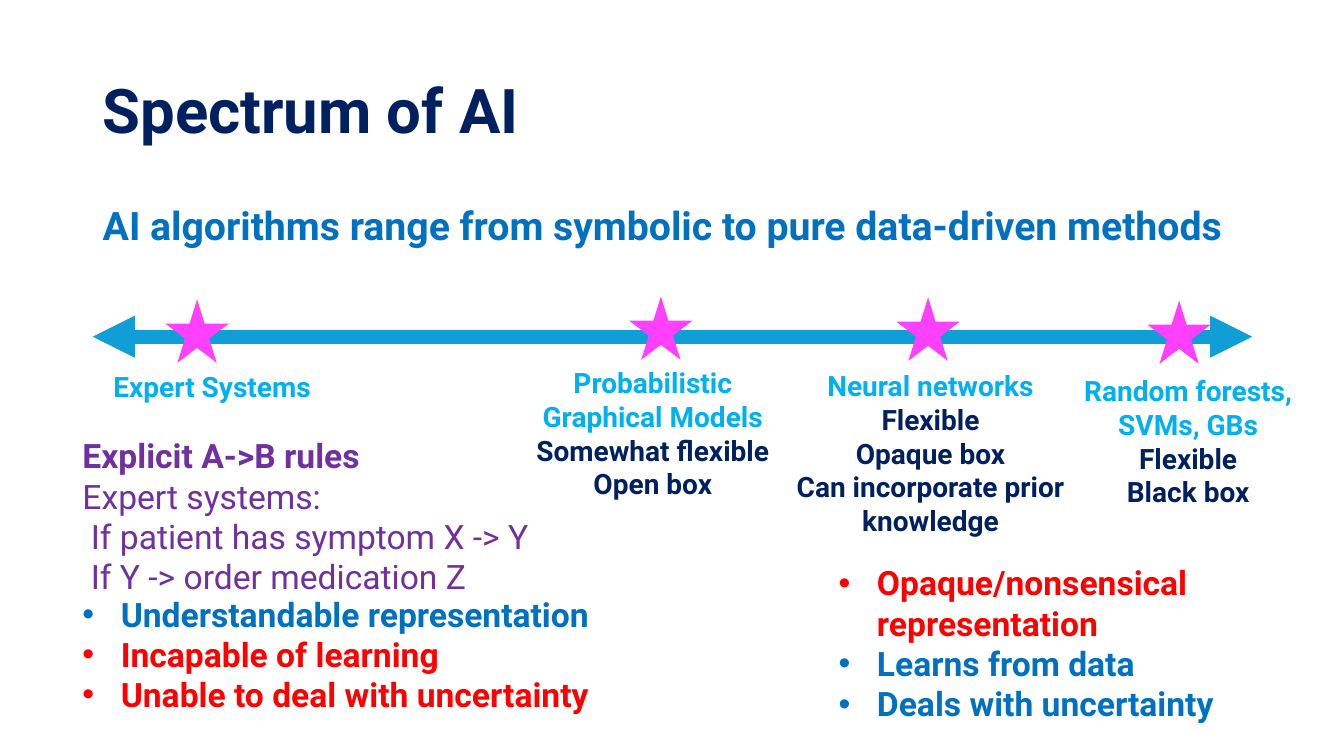
from dataclasses import dataclass

from lxml.etree import SubElement
from pptx import Presentation
from pptx.dml.color import RGBColor
from pptx.enum.shapes import MSO_CONNECTOR as Connector, MSO_SHAPE as Preset
from pptx.enum.text import MSO_ANCHOR as Anchor, PP_ALIGN as Align
from pptx.oxml.ns import qn
from pptx.slide import Slide
from pptx.util import Inches, Pt

FONT = "Roboto"
NAVY = RGBColor(0x00, 0x20, 0x60)
BLUE = RGBColor(0x00, 0x70, 0xC0)
SKY = RGBColor(0x00, 0xB0, 0xF0)
AXIS_BLUE = RGBColor(0x0F, 0x9E, 0xD5)
PURPLE = RGBColor(0x70, 0x30, 0xA0)
RED = RGBColor(0xFF, 0x00, 0x00)
PINK = RGBColor(0xFF, 0x40, 0xFF)

AXIS_LEFT, AXIS_RIGHT, AXIS_Y = 0.92, 12.42, 3.34
STAR_SIZE = 0.63
BULLET_INDENT = 0.38


@dataclass(frozen=True)
class Line:
    text: str
    color: RGBColor
    bold: bool = True
    bullet: bool = False


@dataclass(frozen=True)
class Block:
    left: float
    top: float
    width: float
    height: float
    size: int
    lines: tuple[Line, ...]
    align: Align = Align.LEFT
    anchor: Anchor = Anchor.TOP
    spacing: float = 1.0


@dataclass(frozen=True)
class Method:
    """A star on the axis with its name and traits below."""
    star_left: float
    star_top: float
    left: float
    top: float
    width: float
    height: float
    name: str
    traits: tuple[str, ...] = ()


HEADINGS = (
    Block(0.92, 0.4, 11.5, 1.45, 44, (Line("Spectrum of AI", NAVY),),
          anchor=Anchor.MIDDLE, spacing=0.9),
    Block(0.92, 1.95, 11.78, 1.57, 28,
          (Line("AI algorithms range from symbolic to pure data-driven methods", BLUE),)),
)

METHODS = (
    Method(1.64, 2.97, 0.82, 3.62, 2.57, 1, "Expert Systems"),
    Method(6.24, 2.94, 5.14, 3.58, 2.67, 1.2, "Probabilistic Graphical Models",
           ("Somewhat flexible", "Open box")),
    Method(8.89, 2.95, 7.78, 3.61, 2.9, 1.77, "Neural networks",
           ("Flexible", "Opaque box", "Can incorporate prior knowledge")),
    Method(11.38, 2.98, 10.45, 3.66, 2.67, 1.57, "Random forests, SVMs, GBs",
           ("Flexible", "Black box")),
)

DETAILS = (
    Block(0.72, 4.27, 4.83, 1.57, 24, (
        Line("Explicit A->B rules", PURPLE),
        Line("Expert systems:", PURPLE, bold=False),
        Line(" If patient has symptom X -> Y", PURPLE, bold=False),
        Line(" If Y -> order medication Z", PURPLE, bold=False))),
    Block(0.72, 5.84, 5.67, 1.57, 24, (
        Line("Understandable representation", BLUE, bullet=True),
        Line("Incapable of learning", RED, bullet=True),
        Line("Unable to deal with uncertainty", RED, bullet=True))),
    Block(8.22, 5.53, 4.7, 1.57, 24, (
        Line("Opaque/nonsensical representation", RED, bullet=True),
        Line("Learns from data", BLUE, bullet=True),
        Line("Deals with uncertainty", BLUE, bullet=True))),
)


def add_bullet(paragraph) -> None:
    properties = paragraph._p.get_or_add_pPr()
    properties.set("marL", str(Inches(BULLET_INDENT)))
    properties.set("indent", str(-Inches(BULLET_INDENT)))
    SubElement(properties, qn("a:buFont"), typeface="Arial")
    SubElement(properties, qn("a:buChar"), char="•")


def add_block(slide: Slide, block: Block) -> None:
    box = slide.shapes.add_textbox(Inches(block.left), Inches(block.top),
                                   Inches(block.width), Inches(block.height))
    frame = box.text_frame
    frame.word_wrap = True
    frame.vertical_anchor = block.anchor
    for index, line in enumerate(block.lines):
        paragraph = frame.add_paragraph() if index else frame.paragraphs[0]
        paragraph.alignment = block.align
        paragraph.line_spacing = block.spacing
        if line.bullet:
            add_bullet(paragraph)
        run = paragraph.add_run()
        run.text = line.text
        run.font.name = FONT
        run.font.size = Pt(block.size)
        run.font.bold = line.bold
        run.font.color.rgb = line.color


def add_axis(slide: Slide) -> None:
    axis = slide.shapes.add_connector(
        Connector.STRAIGHT, Inches(AXIS_LEFT), Inches(AXIS_Y),
        Inches(AXIS_RIGHT), Inches(AXIS_Y))
    axis.line.color.rgb = AXIS_BLUE
    axis.line.width = Pt(10)
    for end in ("a:headEnd", "a:tailEnd"):
        SubElement(axis.line._get_or_add_ln(), qn(end), type="triangle")
    SubElement(axis._element.spPr, qn("a:effectLst"))


def add_method(slide: Slide, method: Method) -> None:
    star = slide.shapes.add_shape(
        Preset.STAR_5_POINT, Inches(method.star_left), Inches(method.star_top),
        Inches(STAR_SIZE), Inches(STAR_SIZE))
    star.shadow.inherit = False
    star.fill.solid()
    star.fill.fore_color.rgb = PINK
    star.line.fill.background()
    lines = (Line(method.name, SKY), *(Line(trait, NAVY) for trait in method.traits))
    add_block(slide, Block(method.left, method.top, method.width, method.height,
                           20, lines, align=Align.CENTER))


def main() -> None:
    deck = Presentation()
    deck.slide_width, deck.slide_height = Inches(13.33), Inches(7.5)
    slide = deck.slides.add_slide(deck.slide_layouts[6])

    # Title and statement
    for heading in HEADINGS:
        add_block(slide, heading)

    # Spectrum axis with its methods
    add_axis(slide)
    for method in METHODS:
        add_method(slide, method)

    # Rules, strengths and weaknesses at both ends
    for detail in DETAILS:
        add_block(slide, detail)

    deck.save("out.pptx")


if __name__ == "__main__":
    main()
